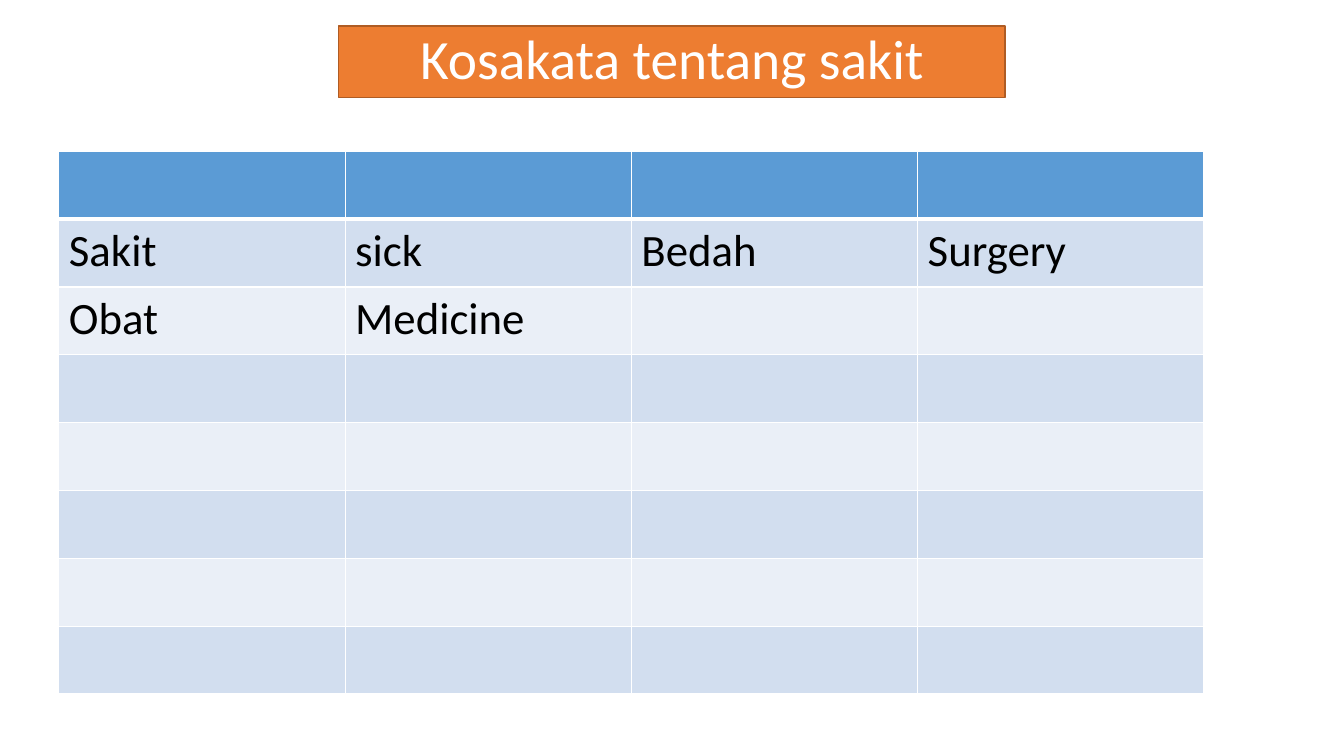
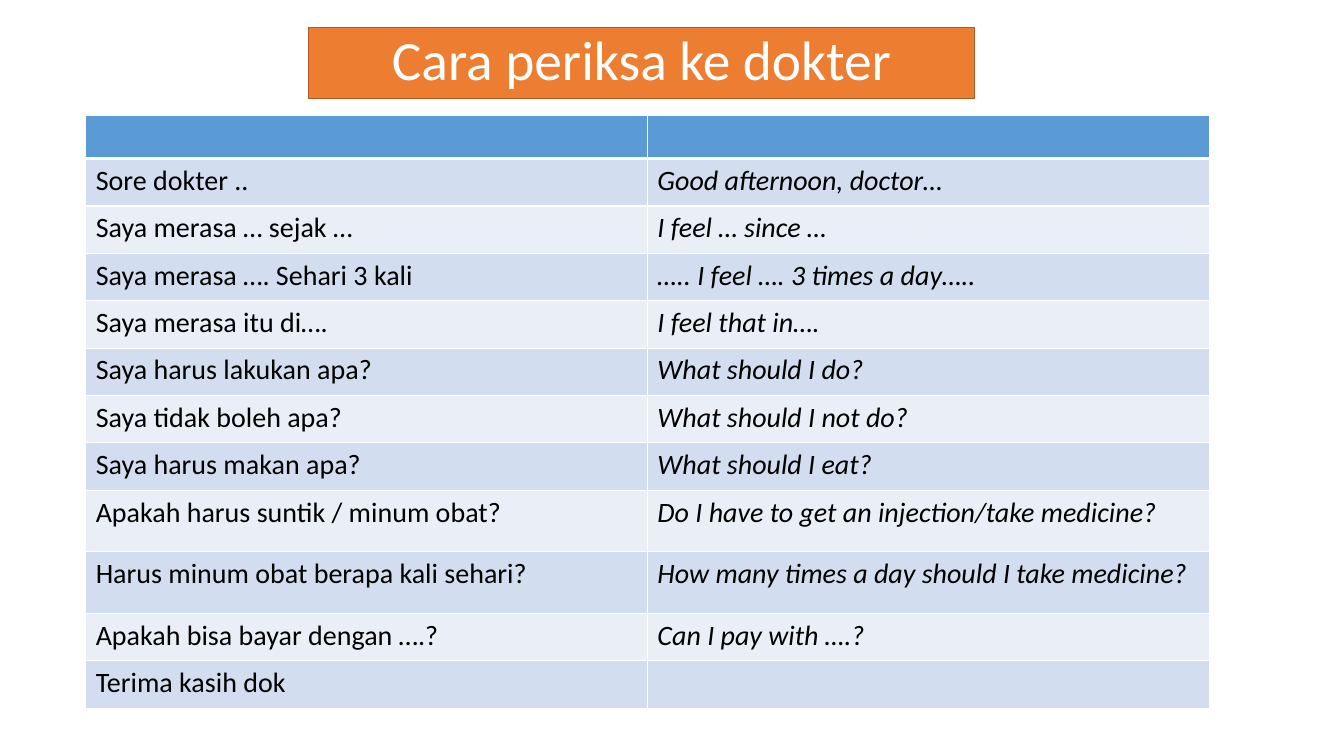
from dataclasses import dataclass

from lxml import etree
from pptx import Presentation
from pptx.dml.color import RGBColor as RGB
from pptx.enum.text import MSO_ANCHOR as Anchor, MSO_AUTO_SIZE as AutoSize, PP_ALIGN as Align
from pptx.oxml.ns import qn
from pptx.util import Pt


@dataclass(frozen=True)
class Theme:
    font: str = "Calibri"
    white: str = "FFFFFF"
    text: str = "000000"
    title_fill: str = "ED7D31"
    title_line: str = "AF5C24"
    header: str = "5B9BD5"
    bands: tuple = ("D2DEEF", "EAEFF7")
    title_size: float = 39.6
    word_size: float = 32
    phrase_size: float = 20
    title_width: float = 476
    title_height: float = 51
    rule: float = 1
    header_rule: float = 3


T = Theme()

WORDS = [
    ("Sakit", "sick", "Bedah", "Surgery"),
    ("Obat", "Medicine", "", ""),
] + [("",) * 4] * 5

PHRASES = [
    ("Sore dokter ..", "Good afternoon, doctor…"),
    ("Saya merasa … sejak …", "I feel … since …"),
    ("Saya merasa …. Sehari 3 kali", "….. I feel …. 3 times a day….."),
    ("Saya merasa itu di….", "I feel that in…."),
    ("Saya harus lakukan apa?", "What should I do?"),
    ("Saya tidak boleh apa?", "What should I not do?"),
    ("Saya harus makan apa?", "What should I eat?"),
    ("Apakah harus suntik / minum obat?", "Do I have to get an injection/take medicine?"),
    ("Harus minum obat berapa kali sehari?", "How many times a day should I take medicine?"),
    ("Apakah bisa bayar dengan ….?", "Can I pay with ….?"),
    ("Terima kasih dok", ""),
]


def style_run(r, size, color, italic=False):
    r.font.name = T.font
    r.font.size = Pt(size)
    r.font.bold = False
    r.font.italic = italic
    r.font.color.rgb = RGB.from_string(color)


def add_title(slide, text, left, top):
    """Orange title band."""
    sp = slide.shapes.title
    sp.left, sp.top = Pt(left), Pt(top)
    sp.width, sp.height = Pt(T.title_width), Pt(T.title_height)
    sp.fill.solid()
    sp.fill.fore_color.rgb = RGB.from_string(T.title_fill)
    sp.line.color.rgb = RGB.from_string(T.title_line)
    sp.line.width = Pt(T.rule)
    tf = sp.text_frame
    tf.text = text
    tf.word_wrap = True
    tf.auto_size = AutoSize.NONE
    tf.vertical_anchor = Anchor.MIDDLE
    p = tf.paragraphs[0]
    p.alignment = Align.CENTER
    p.line_spacing = 0.9
    style_run(p.runs[0], T.title_size, T.white)


def set_borders(cell, top, bottom):
    """White rules around a cell; top and bottom are widths in points."""
    tc_pr = cell._tc.get_or_add_tcPr()
    for side, width in (("L", T.rule), ("R", T.rule), ("T", top), ("B", bottom)):
        ln = etree.SubElement(tc_pr, qn(f"a:ln{side}"), w=str(Pt(width)))
        fill = etree.SubElement(ln, qn("a:solidFill"))
        etree.SubElement(fill, qn("a:srgbClr"), val=T.white)


def add_banded_table(slide, rows, box, heights, size, italic_cols=()):
    """Table with an empty header row above banded rows."""
    left, top, width = box
    rows = [("",) * len(rows[0])] + rows
    n_cols = len(rows[0])
    frame = slide.shapes.add_table(len(rows), n_cols, Pt(left), Pt(top),
                                   Pt(width), Pt(sum(heights)))
    table = frame.table
    for col in table.columns:
        col.width = Pt(width / n_cols)
    for i, (texts, height) in enumerate(zip(rows, heights)):
        table.rows[i].height = Pt(height)
        for j, text in enumerate(texts):
            cell = table.cell(i, j)
            set_borders(cell, T.header_rule if i == 1 else T.rule,
                        T.header_rule if i == 0 else T.rule)
            cell.fill.solid()
            color = T.bands[(i - 1) % 2] if i else T.header
            cell.fill.fore_color.rgb = RGB.from_string(color)
            if text:
                cell.text_frame.text = text
                r = cell.text_frame.paragraphs[0].runs[0]
                style_run(r, size, T.text, j in italic_cols)


def add_vocabulary_slide(prs):
    slide = prs.slides.add_slide(prs.slide_layouts[5])
    add_title(slide, "Kosakata tentang sakit", 242, 18.7)
    add_banded_table(slide, WORDS, (42, 108, 818), [48.5] * 8, T.word_size)


def add_phrases_slide(prs):
    slide = prs.slides.add_slide(prs.slide_layouts[5])
    add_title(slide, "Cara periksa ke dokter", 220.3, 19.5)
    heights = [31] + [33.85] * 7 + [44] * 2 + [33.85] * 2
    add_banded_table(slide, PHRASES, (61.2, 82.3, 802.5), heights,
                     T.phrase_size, italic_cols=(1,))


def main():
    prs = Presentation()
    prs.slide_width, prs.slide_height = Pt(960), Pt(540)
    add_vocabulary_slide(prs)
    add_phrases_slide(prs)
    prs.save("out.pptx")


if __name__ == "__main__":
    main()
